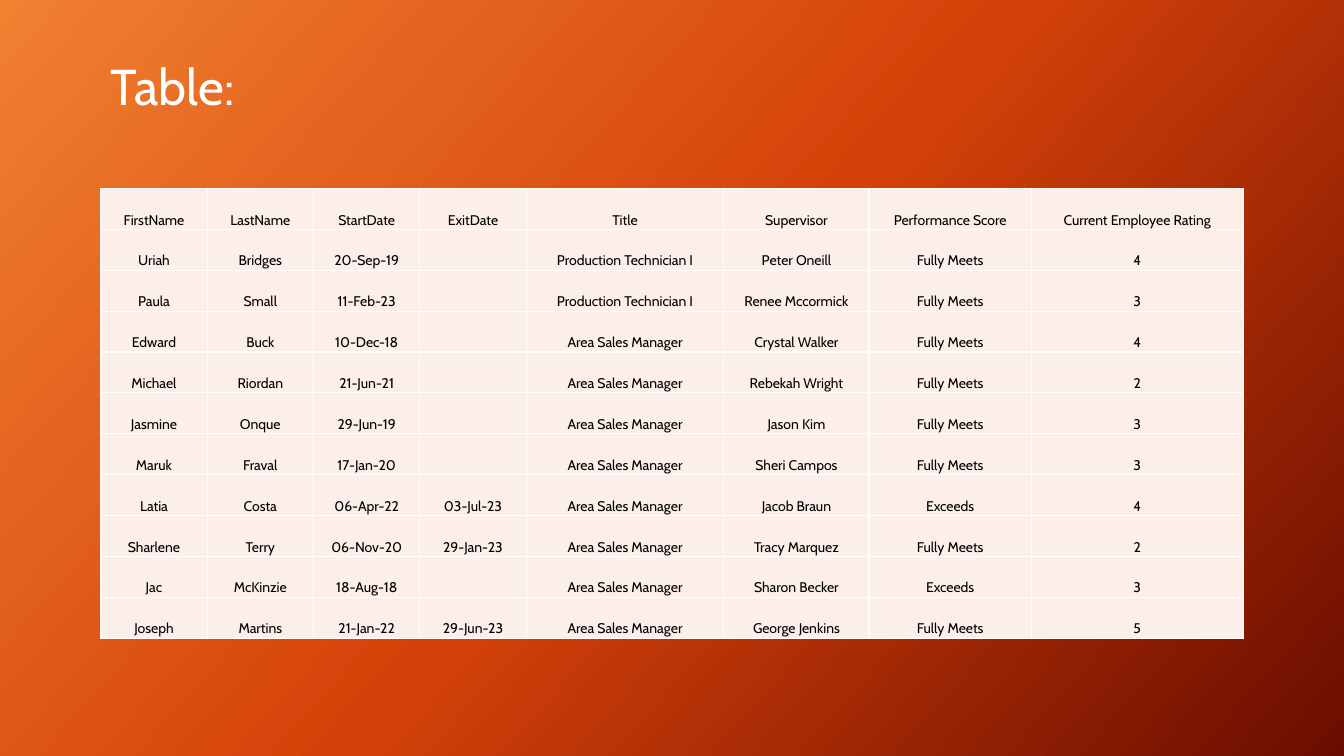
"""Build a slide with a table of employee records on an orange gradient."""
from copy import deepcopy
from dataclasses import dataclass

from lxml import etree
from pptx import Presentation
from pptx.dml.color import RGBColor
from pptx.enum.text import MSO_ANCHOR, PP_ALIGN
from pptx.oxml.ns import qn
from pptx.util import Cm, Pt

LEFT, CENTER = PP_ALIGN.LEFT, PP_ALIGN.CENTER
MIDDLE, BOTTOM = MSO_ANCHOR.MIDDLE, MSO_ANCHOR.BOTTOM
TITLE_ONLY = 5


@dataclass(frozen=True)
class Theme:
    font: str = "Cabin"
    title_size: int = 36
    cell_size: int = 10
    title_color: str = "FFFFFF"
    cell_color: str = "000000"
    cell_fill: str = "FCEEE8"
    border_color: str = "FFFFFF"
    border_width: int = 1
    gradient: tuple = ((0, "F18031"), (0.5, "D54209"), (1, "6A0D00"))


THEME = Theme()
COLUMN_WIDTHS = [2.68, 2.68, 2.68, 2.68, 4.98, 3.66, 4.09, 5.34]
ROW_HEIGHT = 1.03
CELL_MARGIN = Cm(0.02)
TECHNICIAN, MANAGER = "Production Technician I", "Area Sales Manager"
MEETS, EXCEEDS = "Fully Meets", "Exceeds"
ROWS = [
    ("FirstName", "LastName", "StartDate", "ExitDate", "Title", "Supervisor",
     "Performance Score", "Current Employee Rating"),
    ("Uriah", "Bridges", "20-Sep-19", "", TECHNICIAN, "Peter Oneill", MEETS, "4"),
    ("Paula", "Small", "11-Feb-23", "", TECHNICIAN, "Renee Mccormick", MEETS, "3"),
    ("Edward", "Buck", "10-Dec-18", "", MANAGER, "Crystal Walker", MEETS, "4"),
    ("Michael", "Riordan", "21-Jun-21", "", MANAGER, "Rebekah Wright", MEETS, "2"),
    ("Jasmine", "Onque", "29-Jun-19", "", MANAGER, "Jason Kim", MEETS, "3"),
    ("Maruk", "Fraval", "17-Jan-20", "", MANAGER, "Sheri Campos", MEETS, "3"),
    ("Latia", "Costa", "06-Apr-22", "03-Jul-23", MANAGER, "Jacob Braun", EXCEEDS, "4"),
    ("Sharlene", "Terry", "06-Nov-20", "29-Jan-23", MANAGER, "Tracy Marquez", MEETS, "2"),
    ("Jac", "McKinzie", "18-Aug-18", "", MANAGER, "Sharon Becker", EXCEEDS, "3"),
    ("Joseph", "Martins", "21-Jan-22", "29-Jun-23", MANAGER, "George Jenkins", MEETS, "5"),
]


def add_run(paragraph, text, size, color, alignment):
    """Align the paragraph and add one formatted run to it."""
    paragraph.alignment = alignment
    run = paragraph.add_run()
    run.text = text
    run.font.name = THEME.font
    run.font.size = Pt(size)
    run.font.bold = False
    run.font.color.rgb = RGBColor.from_string(color)


def add_borders(cell):
    """Draw a thin line on all four sides of the cell."""
    properties = cell._tc.get_or_add_tcPr()
    for side in ("a:lnL", "a:lnR", "a:lnT", "a:lnB"):
        line = etree.SubElement(properties, qn(side), w=str(Pt(THEME.border_width)))
        fill = etree.SubElement(line, qn("a:solidFill"))
        etree.SubElement(fill, qn("a:srgbClr"), val=THEME.border_color)


presentation = Presentation()
presentation.slide_width = Cm(33.87)
presentation.slide_height = Cm(19.05)
slide = presentation.slides.add_slide(presentation.slide_layouts[TITLE_ONLY])

background = slide.background.fill
background.gradient()
background.gradient_angle = 360 - 42
stop_list = slide.element.find(".//" + qn("a:gsLst"))
stop_list.append(deepcopy(stop_list[-1]))
for stop, (position, color) in zip(background.gradient_stops, THEME.gradient):
    stop.position = position
    stop.color.rgb = RGBColor.from_string(color)

title = slide.shapes.title
title.left, title.top, title.width, title.height = Cm(2.54), Cm(0.51), Cm(28.78), Cm(3.45)
title.text_frame.vertical_anchor = MIDDLE
title.text_frame.word_wrap = True
title_paragraph = title.text_frame.paragraphs[0]
title_paragraph.line_spacing = 0.9
add_run(title_paragraph, "Table:", THEME.title_size, THEME.title_color, LEFT)

table = slide.shapes.add_table(
    len(ROWS), len(COLUMN_WIDTHS), Cm(2.54), Cm(4.75),
    Cm(sum(COLUMN_WIDTHS)), Cm(ROW_HEIGHT * len(ROWS)),
).table
table.first_row = False
table.horz_banding = False
for column, width in zip(table.columns, COLUMN_WIDTHS):
    column.width = Cm(width)

for row, values in zip(table.rows, ROWS):
    row.height = Cm(ROW_HEIGHT)
    for cell, value in zip(row.cells, values):
        add_borders(cell)
        cell.fill.solid()
        cell.fill.fore_color.rgb = RGBColor.from_string(THEME.cell_fill)
        cell.vertical_anchor = BOTTOM
        cell.margin_left = cell.margin_right = CELL_MARGIN
        cell.margin_top = cell.margin_bottom = CELL_MARGIN
        if value:
            add_run(cell.text_frame.paragraphs[0], value,
                    THEME.cell_size, THEME.cell_color, CENTER)

presentation.save("out.pptx")
